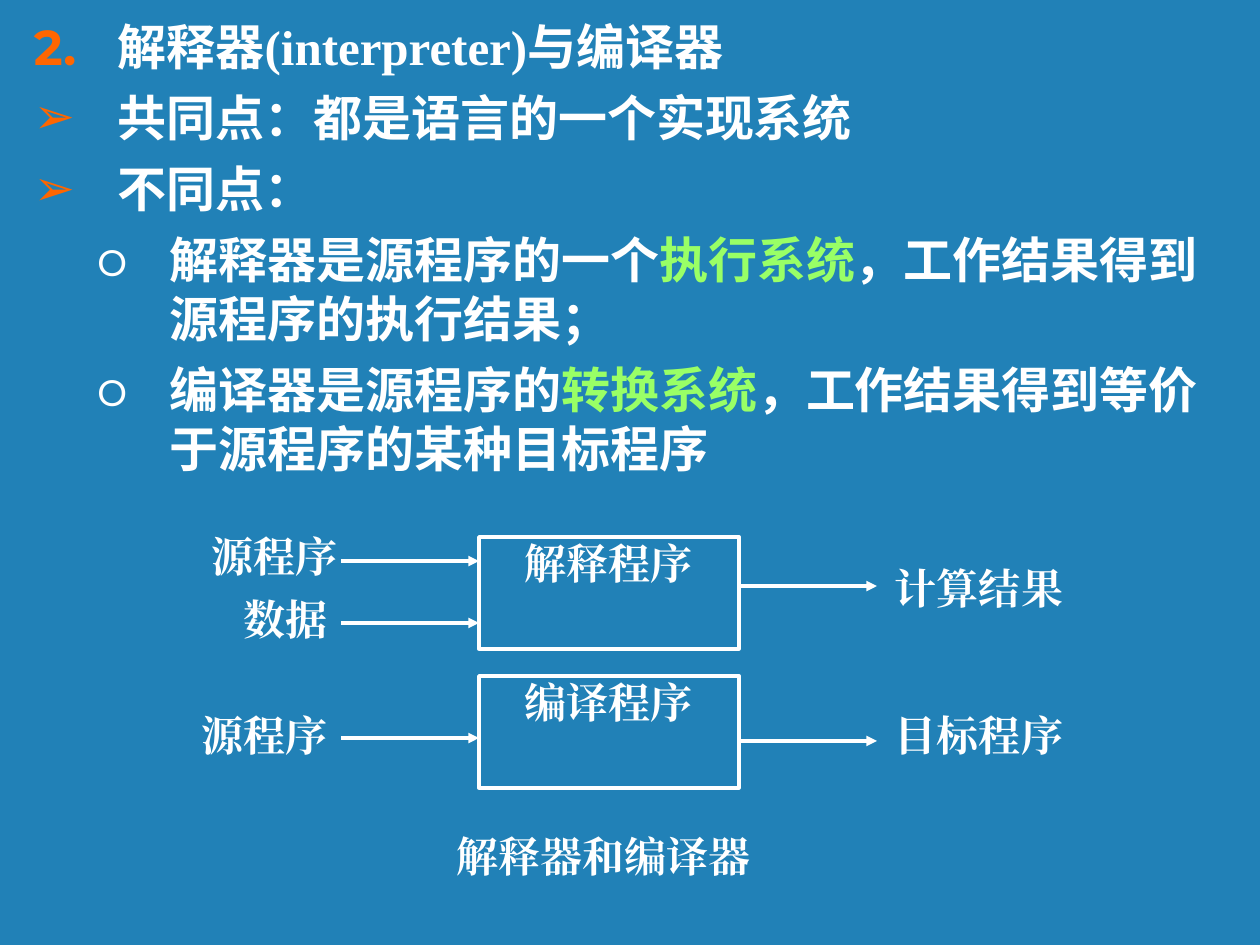
from dataclasses import dataclass

import pptx
import pptx.dml.color
import pptx.enum.shapes
import pptx.enum.text
import pptx.oxml.ns
import pptx.util
from lxml import etree

PX = 914400 / 126
ALIGN = pptx.enum.text.PP_ALIGN


@dataclass(frozen=True)
class Theme:
    background: str = "2181B7"
    text: str = "FFFFFF"
    marker: str = "FF6600"
    highlight: str = "99FF66"
    body_font: str = "Montserrat"
    diagram_font: str = "Times New Roman"
    body_size: int = 28
    diagram_size: int = 24
    line_width: int = 2


THEME = Theme()


def emu(px):
    return pptx.util.Emu(round(px * PX))


def rgb(value):
    return pptx.dml.color.RGBColor.from_string(value)


def add_xml(parent, tag, **attributes):
    return etree.SubElement(parent, pptx.oxml.ns.qn(tag), attributes)


def write(paragraph, text, size=THEME.diagram_size, font=THEME.diagram_font,
          color=THEME.text, align=None):
    """Append a bold run, using the same font for Latin and Chinese."""
    if align is not None:
        paragraph.alignment = align
    run = paragraph.add_run()
    run.text = text
    run.font.size = pptx.util.Pt(size)
    run.font.bold = True
    run.font.name = font
    run.font.color.rgb = rgb(color)
    add_xml(run.font._element, "a:ea", typeface=font)


class Board:
    """The current slide, drawn in one theme."""

    def __init__(self, slide, theme):
        self.slide = slide
        self.theme = theme
        slide.background.fill.solid()
        slide.background.fill.fore_color.rgb = rgb(theme.background)

    def set_frame(self, shape, inset_x, inset_y):
        frame = shape.text_frame
        frame.word_wrap = True
        frame.vertical_anchor = pptx.enum.text.MSO_ANCHOR.TOP
        frame.margin_left = frame.margin_right = emu(inset_x)
        frame.margin_top = frame.margin_bottom = emu(inset_y)
        return frame

    def set_line(self, shape):
        shape.line.color.rgb = rgb(self.theme.text)
        shape.line.width = pptx.util.Pt(self.theme.line_width)

    def text_area(self, left, top, width, height, inset_x=13, inset_y=6):
        area = self.slide.shapes.add_textbox(*map(emu, (left, top, width, height)))
        return self.set_frame(area, inset_x, inset_y)

    def label(self, text, left, top, width, height=63, align=None, **insets):
        frame = self.text_area(left, top, width, height, **insets)
        write(frame.paragraphs[0], text, align=align)

    def process(self, text, left, top, width, height):
        box = self.slide.shapes.add_shape(
            pptx.enum.shapes.MSO_SHAPE.RECTANGLE,
            *map(emu, (left, top, width, height)))
        box.shadow.inherit = False
        box.fill.background()
        self.set_line(box)
        frame = self.set_frame(box, 1, 1)
        write(frame.paragraphs[0], text, align=ALIGN.CENTER)

    def arrow(self, x1, y1, x2, y2):
        line = self.slide.shapes.add_connector(
            pptx.enum.shapes.MSO_CONNECTOR.STRAIGHT,
            *map(emu, (x1, y1, x2, y2)))
        self.set_line(line)
        add_xml(line.line._get_or_add_ln(), "a:tailEnd", type="triangle")
        add_xml(line._element.spPr, "a:effectLst")

    def outline(self, items, left, top, width, height):
        """Write (level, marker, runs) items; a number as marker starts a numbered list."""
        frame = self.text_area(left, top, width, height)
        for index, (level, marker, runs) in enumerate(items):
            paragraph = frame.add_paragraph() if index else frame.paragraphs[0]
            paragraph.level = level
            paragraph.space_before = pptx.util.Pt(7)
            self.bullet(paragraph, level, marker)
            for text, style in runs:
                write(paragraph, text, **{"size": self.theme.body_size,
                                          "font": self.theme.body_font, **style})

    def bullet(self, paragraph, level, marker):
        indent, hanging = ((84, 84), (136, 73))[level]
        color = (self.theme.marker, self.theme.text)[level]
        properties = paragraph._p.get_or_add_pPr()
        properties.set("marL", str(emu(indent)))
        properties.set("indent", str(-emu(hanging)))
        add_xml(add_xml(properties, "a:buClr"), "a:srgbClr", val=color)
        add_xml(properties, "a:buFont", typeface=self.theme.body_font)
        if isinstance(marker, int):
            add_xml(properties, "a:buAutoNum", type="arabicPeriod", startAt=str(marker))
        else:
            add_xml(properties, "a:buChar", char=marker)


def main():
    deck = pptx.Presentation()
    deck.slide_width, deck.slide_height = emu(1260), emu(945)
    board = Board(deck.slides.add_slide(deck.slide_layouts[6]), THEME)

    latin = {"font": THEME.diagram_font}
    key = {"color": THEME.highlight}
    board.outline([
        (0, 2, [("解释器", {}), ("(interpreter)", latin), ("与编译器", {})]),
        (0, "➢", [("共同点：都是语言的一个实现系统", {})]),
        (0, "➢", [("不同点：", {})]),
        (1, "o", [("解释器是源程序的一个", {}), ("执行系统", key),
                  ("，工作结果得到源程序的执行结果；", {})]),
        (1, "o", [("编译器是源程序的", {}), ("转换系统", key),
                  ("，工作结果得到等价于源程序的某种目标程序", {})]),
    ], 21, 10, 1207, 483)

    box_left, box_width, box_height = 479, 260, 112
    box_right = box_left + box_width
    for name, top in (("解释程序", 537), ("编译程序", 676)):
        board.process(name, box_left, top, box_width, box_height)
    for y in (561, 623, 738):
        board.arrow(341, y, box_left, y)
    for y in (586, 741):
        board.arrow(box_right, y, 877, y)

    for text, left, top, width in (
        ("源程序", 199, 525, 179),
        ("数据", 231, 588, 116),
        ("源程序", 189, 704, 179),
        ("计算结果", 882, 557, 210),
        ("目标程序", 882, 704, 210),
    ):
        board.label(text, left, top, width)
    board.label("解释器和编译器", 456, 830, 363, align=ALIGN.JUSTIFY,
                inset_x=1, inset_y=1)

    deck.save("out.pptx")


if __name__ == "__main__":
    main()
